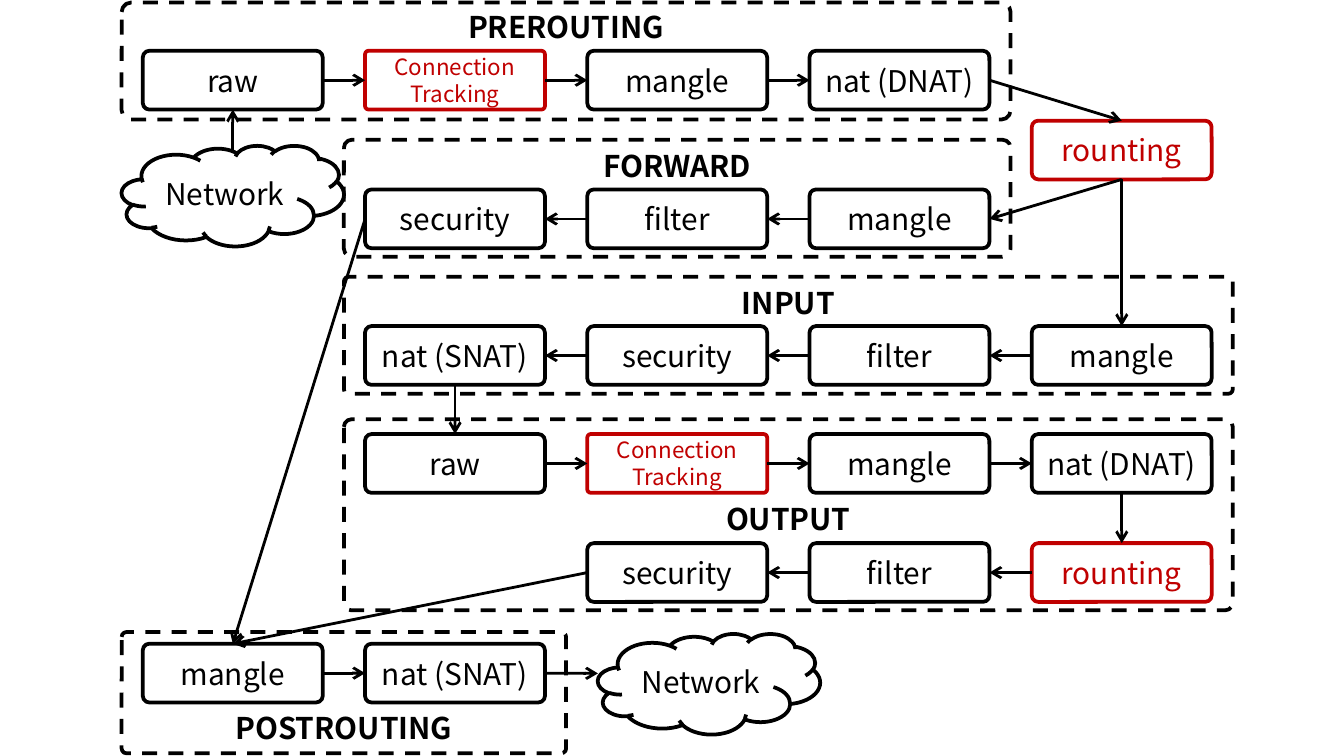
from itertools import pairwise

from lxml.etree import SubElement
from pptx import Presentation
from pptx.dml.color import RGBColor
from pptx.enum.dml import MSO_LINE
from pptx.enum.shapes import MSO_CONNECTOR, MSO_SHAPE
from pptx.enum.text import MSO_ANCHOR, PP_ALIGN
from pptx.oxml.ns import qn
from pptx.util import Cm, Pt

FONT = "Noto Sans CJK KR"
BLACK, RED, WHITE = "000000", "C00000", "FFFFFF"
PITCH, FIRST_COL = 4.2, 2.7
BOX_W, BOX_H = 3.4, 1.11
TOP, LEFT, BOTTOM, RIGHT = range(4)  # connection sites of a rectangle
RED_LABELS = {"Connection Tracking", "rounting"}


def rgb(value):
    return RGBColor.from_string(value)


def column(col):
    """Left edge of a grid column in centimetres."""
    return FIRST_COL + col * PITCH


class Diagram:
    def __init__(self, slide):
        self.s = slide

    def shape(self, kind, x, y, w, h, line=None, fill=None):
        sp = self.s.shapes.add_shape(kind, Cm(x), Cm(y), Cm(w), Cm(h))
        sp.shadow.inherit = False
        if fill:
            sp.fill.solid()
            sp.fill.fore_color.rgb = rgb(fill)
        else:
            sp.fill.background()
        if line:
            sp.line.color.rgb = rgb(line)
            sp.line.width = Pt(2)
        else:
            sp.line.fill.background()
        return sp

    def label(self, sp, text, color=BLACK, size=16, bold=False):
        tf = sp.text_frame
        tf.word_wrap = True
        tf.vertical_anchor = MSO_ANCHOR.MIDDLE
        tf.text = text
        p = tf.paragraphs[0]
        p.alignment = PP_ALIGN.CENTER
        font = p.runs[0].font
        font.name, font.size, font.bold = FONT, Pt(size), bold
        font.color.rgb = rgb(color)

    def box(self, text, col, y):
        color = RED if text in RED_LABELS else BLACK
        two_lines = text == "Connection Tracking"
        sp = self.shape(MSO_SHAPE.ROUNDED_RECTANGLE, column(col), y,
                        BOX_W, BOX_H, color, WHITE)
        sp.adjustments[0] = 0.06 if two_lines else 0.11
        self.label(sp, text, color, 12 if two_lines else 16)
        return sp

    def cloud(self, x, y):
        sp = self.shape(MSO_SHAPE.CLOUD, x, y, PITCH, 1.9, BLACK, WHITE)
        self.label(sp, "Network")

    def group(self, title, col, span, y, h, corner, title_y, title_w):
        """Dashed frame around a chain, with its title centred on it."""
        x, w = column(col) - 0.4, span * PITCH
        frame = self.shape(MSO_SHAPE.ROUNDED_RECTANGLE, x, y, w, h, BLACK)
        frame.adjustments[0] = corner
        frame.line.dash_style = MSO_LINE.DASH
        sp = self.shape(MSO_SHAPE.ROUNDED_RECTANGLE, x + (w - title_w) / 2,
                        title_y, title_w, BOX_H)
        self.label(sp, title, bold=True)

    def arrow(self, start, end):
        """Each end is a (shape, site) pair or an (x, y) point in Cm."""
        line = self.s.shapes.add_connector(MSO_CONNECTOR.STRAIGHT, 0, 0, 0, 0)
        if isinstance(start[0], Cm):
            line.begin_x, line.begin_y = start
        else:
            line.begin_connect(*start)
        if isinstance(end[0], Cm):
            line.end_x, line.end_y = end
        else:
            line.end_connect(*end)
        line.line.color.rgb = rgb(BLACK)
        line.line.width = Pt(1.5)
        SubElement(line.line._get_or_add_ln(), qn("a:tailEnd"), type="arrow")
        SubElement(line._element.spPr, qn("a:effectLst"))

    def chain(self, labels, col, y, step=1):
        """Row of boxes in flow order; step -1 makes it run leftwards."""
        boxes = [self.box(t, col + i * step, y) for i, t in enumerate(labels)]
        out, into = (RIGHT, LEFT) if step > 0 else (LEFT, RIGHT)
        for a, b in pairwise(boxes):
            self.arrow((a, out), (b, into))
        return boxes


def main():
    prs = Presentation()
    prs.slide_width, prs.slide_height = Cm(25.4), Cm(14.28)
    d = Diagram(prs.slides.add_slide(prs.slide_layouts[6]))

    for group in (
        ("PREROUTING", 0, 4, 0.05, 2.21, 0.08, -0.05, 4.8),
        ("FORWARD", 1, 3, 2.64, 2.21, 0.07, 2.57, 4.2),
        ("INPUT", 1, 4, 5.23, 2.21, 0.04, 5.16, 3.4),
        ("OUTPUT", 1, 4, 7.92, 3.61, 0.04, 9.25, 3.4),
        ("POSTROUTING", 0, 2, 11.94, 2.29, 0.04, 13.18, 4.8),
    ):
        d.group(*group)

    prerouting = d.chain(
        ["raw", "Connection Tracking", "mangle", "nat (DNAT)"], 0, 0.96)
    routing = d.box("rounting", 4, 2.28)
    forward = d.chain(["mangle", "filter", "security"], 3, 3.58, -1)
    inbound = d.chain(
        ["mangle", "filter", "security", "nat (SNAT)"], 4, 6.16, -1)
    output = d.chain(
        ["raw", "Connection Tracking", "mangle", "nat (DNAT)"], 1, 8.2)
    rerouted = d.chain(["rounting", "filter", "security"], 4, 10.26, -1)
    postrouting = d.chain(["mangle", "nat (SNAT)"], 0, 12.16)

    for start, end in (
        ((prerouting[-1], RIGHT), (routing, TOP)),
        ((routing, BOTTOM), (forward[0], RIGHT)),
        ((routing, BOTTOM), (inbound[0], TOP)),
        ((inbound[-1], BOTTOM), (output[0], TOP)),
        ((output[-1], BOTTOM), (rerouted[0], TOP)),
        ((forward[-1], LEFT), (postrouting[0], TOP)),
        ((rerouted[-1], LEFT), (postrouting[0], TOP)),
        ((Cm(4.4), Cm(2.85)), (prerouting[0], BOTTOM)),
        ((postrouting[-1], RIGHT), (Cm(11.3), Cm(12.72))),
    ):
        d.arrow(start, end)

    d.cloud(2.3, 2.75)
    d.cloud(11.3, 11.97)
    prs.save("out.pptx")


if __name__ == "__main__":
    main()
